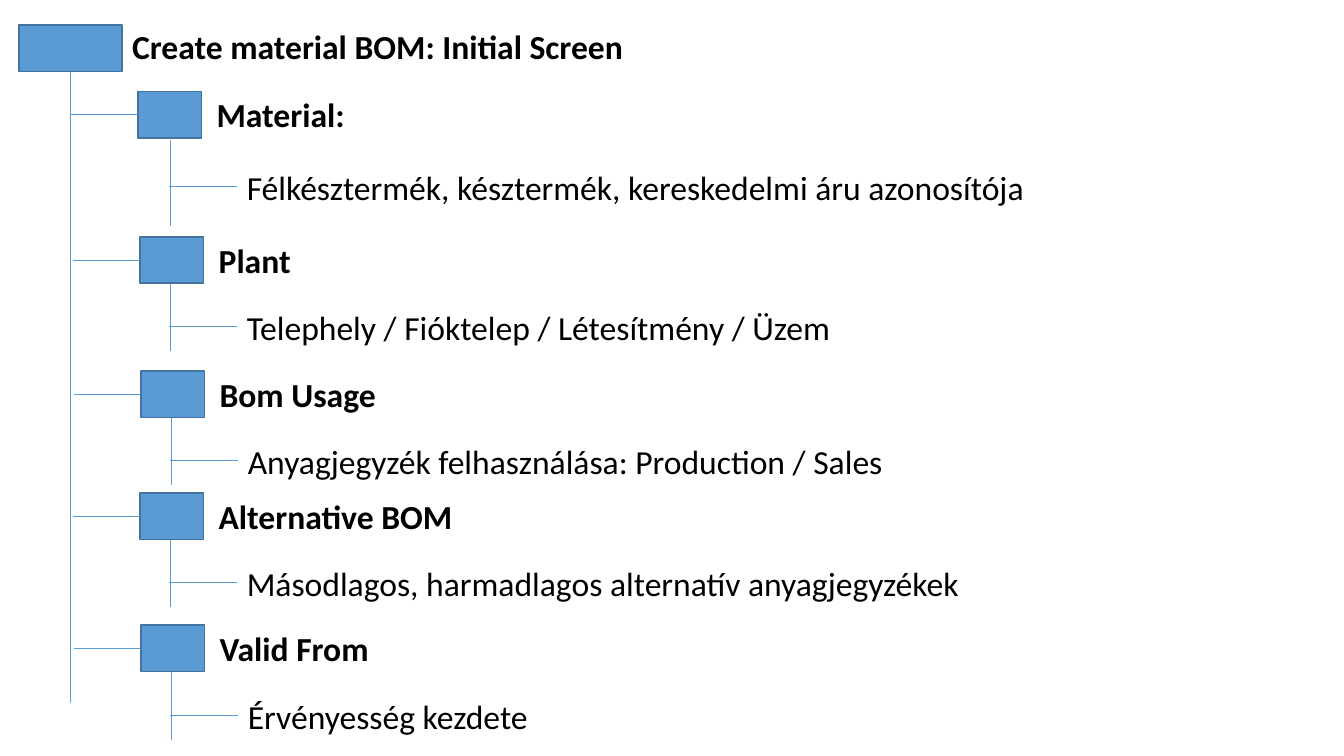
from lxml import etree
from pptx import Presentation
from pptx.dml.color import RGBColor
from pptx.enum import shapes, text
from pptx.oxml.ns import qn
from pptx.util import Pt

BLUE = RGBColor(0x5B, 0x9B, 0xD5)
EDGE = RGBColor(0x43, 0x73, 0x9E)
BLACK = RGBColor(0, 0, 0)

deck = Presentation()
deck.slide_width, deck.slide_height = Pt(960), Pt(540)
slide = deck.slides.add_slide(deck.slide_layouts[5])
items = slide.shapes


def write(words, left, top, width, bold=False, box=None):
    """Fill the given box, or a new text box, with one line of text."""
    box = box or items.add_textbox(0, 0, 0, 0)
    box.left, box.top, box.width, box.height = Pt(left), Pt(top), Pt(width), Pt(36)
    frame = box.text_frame
    frame.word_wrap = False
    frame.auto_size = text.MSO_AUTO_SIZE.SHAPE_TO_FIT_TEXT
    frame.vertical_anchor = text.MSO_ANCHOR.TOP
    line = frame.paragraphs[0]
    line.text = words
    line.alignment = text.PP_ALIGN.LEFT
    line.line_spacing = 1.0
    font = line.font
    font.name, font.size, font.bold = "Calibri", Pt(24), bold
    font.color.rgb = BLACK


def draw(kind, left, top, right, low):
    """Add a blue "box" or "line" between two corners."""
    if kind == "line":
        item = items.add_connector(shapes.MSO_CONNECTOR.STRAIGHT,
                                   Pt(left), Pt(top), Pt(right), Pt(low))
        etree.SubElement(item._element.spPr, qn("a:effectLst"))
        item.line.color.rgb, item.line.width = BLUE, Pt(0.5)
        return item
    item = items.add_shape(shapes.MSO_SHAPE.RECTANGLE,
                           Pt(left), Pt(top), Pt(right - left), Pt(low - top))
    item.shadow.inherit = False
    item.fill.solid()
    item.fill.fore_color.rgb = BLUE
    item.line.color.rgb, item.line.width = EDGE, Pt(1)
    return item


write("Create material BOM: Initial Screen", 87.1, 15.1, 369.4, bold=True,
      box=items.title)
root = draw("box", 13.7, 18, 87.1, 51.1)
trunk = draw("line", 50.4, 51.1, 50.4, 501.8)
trunk.begin_connect(root, 2)

# left, top, stem x, stem top, twig y, heading, width, note, width
rows = [
    (98.6, 65.5, 121.7, 100.1, 133.2, "Material:", 107.3,
     "Félkésztermék, késztermék, kereskedelmi áru azonosítója", 571),
    (100.1, 169.2, 121.7, 189.4, 233.3, "Plant", 66.2,
     "Telephely / Fióktelep / Létesítmény / Üzem", 435.6),
    (100.8, 265, 122.4, 285.1, 329, "Bom Usage", 127.4,
     "Anyagjegyzék felhasználása: Production / Sales", 472.3),
    (100.1, 352.1, 121.7, 372.2, 416.2, "Alternative BOM", 183.6,
     "Másodlagos, harmadlagos alternatív anyagjegyzékek", 527.8),
    (100.8, 446.4, 122.4, 467.3, 511.2, "Valid From", 121.7,
     "Érvényesség kezdete", 216.7),
]
for left, top, stem, start, twig, head, wide, note, span in rows:
    draw("line", stem, start, stem, start + 61.2)
    draw("line", stem - 0.7, twig, stem + 47.5, twig)
    node = draw("box", left, top, left + 45.4, top + 33.1)
    mid = top + 16.55
    branch = draw("line", left - 48.2, mid, left, mid)
    branch.end_connect(node, 1)
    write(head, left + 49, top - 1.6, wide, bold=True)
    write(note, stem + 47.5, twig - 17.6, span)

deck.save("out.pptx")
